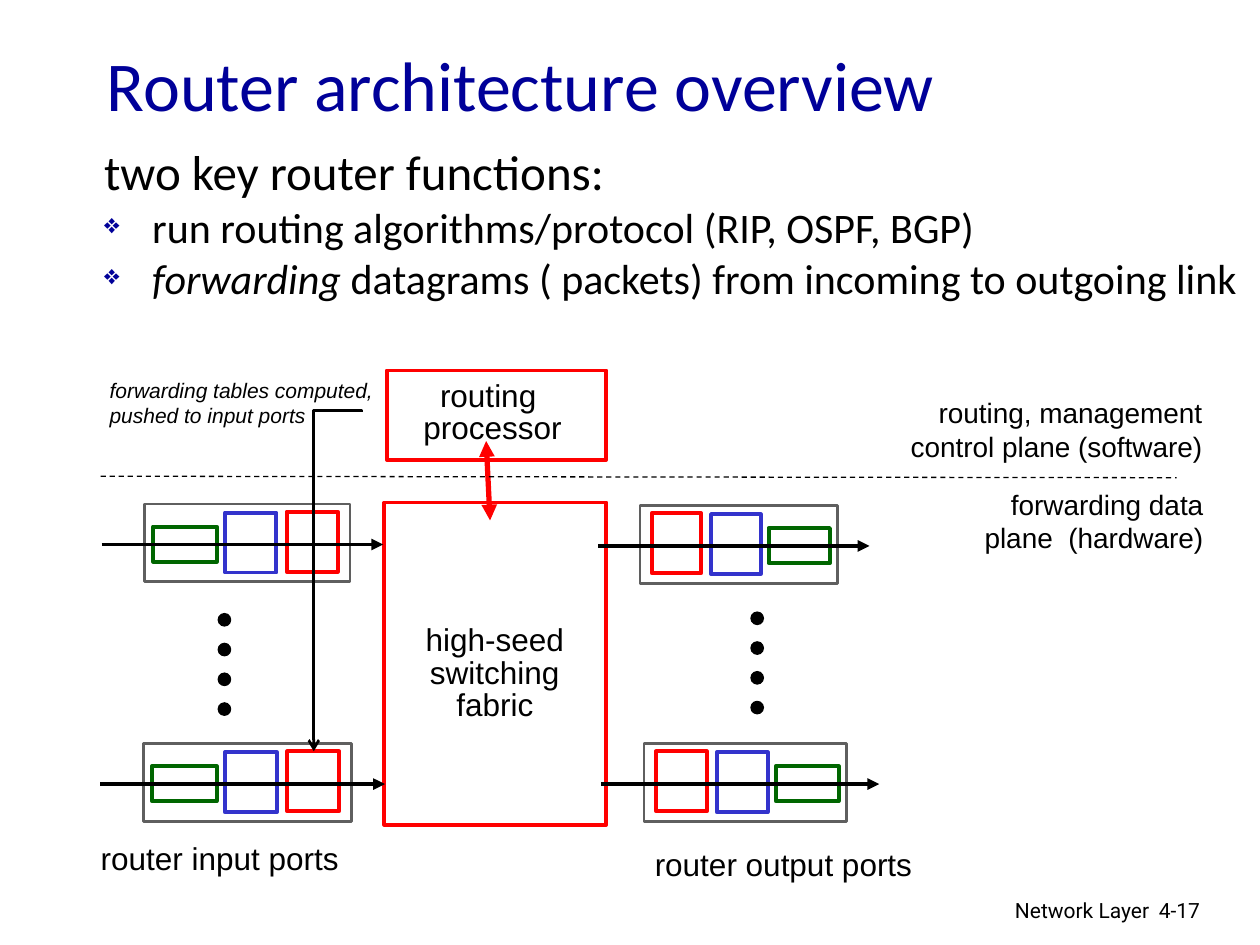
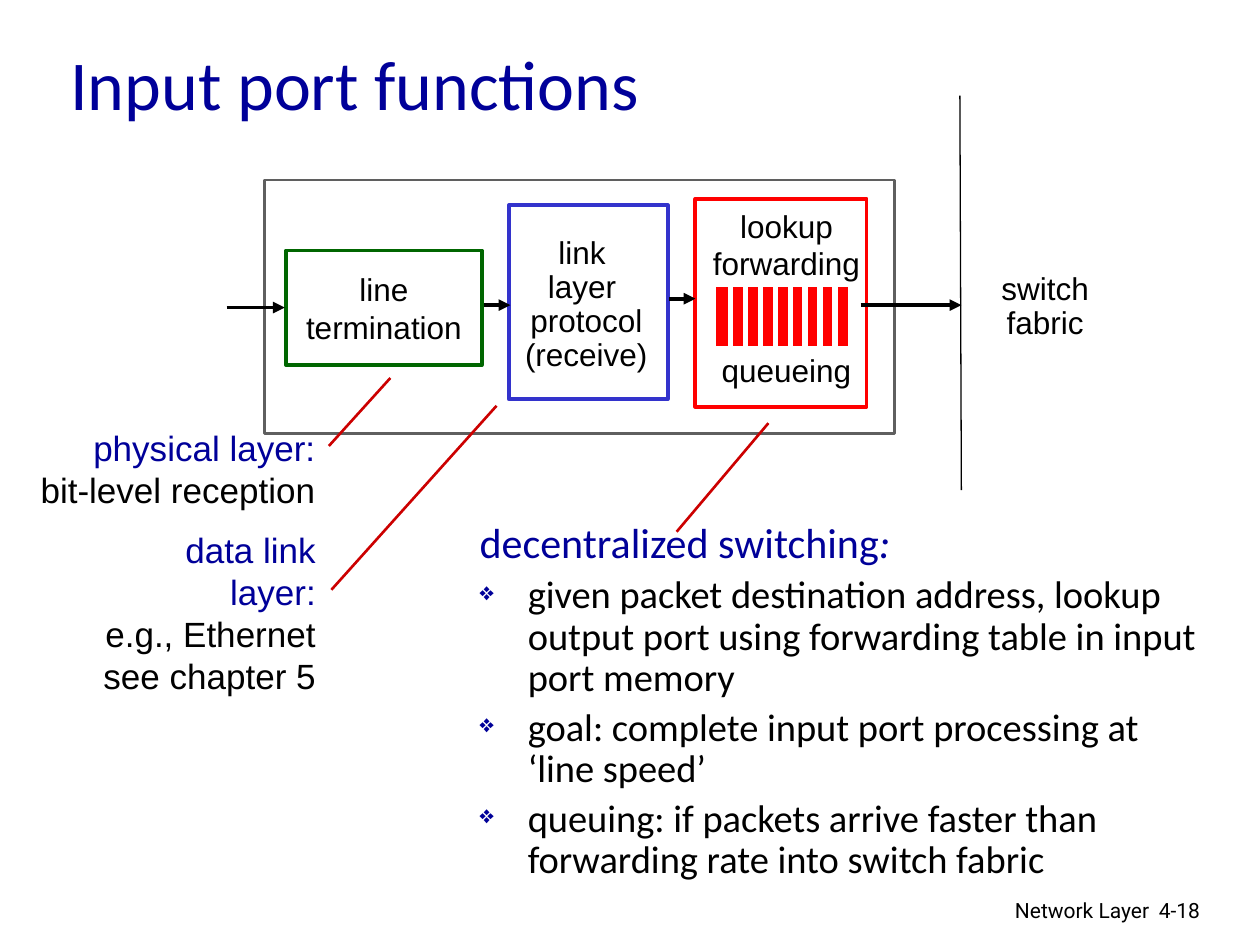
from dataclasses import dataclass

from lxml import etree
from pptx import Presentation
from pptx.dml.color import RGBColor
from pptx.enum.dml import MSO_LINE
from pptx.enum.shapes import MSO_CONNECTOR, MSO_SHAPE
from pptx.enum.text import MSO_ANCHOR, MSO_AUTO_SIZE, PP_ALIGN
from pptx.oxml.ns import qn
from pptx.util import Cm, Pt

LEFT, CENTER, RIGHT = PP_ALIGN.LEFT, PP_ALIGN.CENTER, PP_ALIGN.RIGHT
MIDDLE = MSO_ANCHOR.MIDDLE
RECT, OVAL = MSO_SHAPE.RECTANGLE, MSO_SHAPE.OVAL
STRAIGHT, ELBOW = MSO_CONNECTOR.STRAIGHT, MSO_CONNECTOR.ELBOW
DASH = MSO_LINE.DASH


@dataclass(frozen=True)
class Theme:
    heading_font: str = "Calibri"
    label_font: str = "Arial"
    footer_font: str = "Roboto"
    navy: str = "000099"
    black: str = "000000"
    white: str = "FFFFFF"
    gray: str = "5F5F5F"
    red: str = "FF0000"
    callout: str = "CC0000"
    green: str = "006600"
    blue: str = "3333CC"
    title: int = 40
    lead: int = 28
    body: int = 24
    detail: int = 22
    layer: int = 20
    label: int = 18
    plane: int = 16
    small: int = 12
    hairline: float = 0.75
    thin: float = 1.5
    medium: float = 2.25
    thick: float = 3


THEME = Theme()


@dataclass(frozen=True)
class Box:
    left: float
    top: float
    width: float = 0
    height: float = 0

    def at(self, x, y, width=0, height=0):
        """Box placed by its offset from this one."""
        return Box(self.left + x, self.top + y, width, height)

    def share(self, x, y, width, height):
        """Box given in fractions of this one."""
        return self.at(x * self.width, y * self.height,
                       width * self.width, height * self.height)

    def emu(self):
        return Cm(self.left), Cm(self.top), Cm(self.width), Cm(self.height)


def rgb(color):
    return RGBColor.from_string(color)


def add_bullet(paragraph):
    properties = paragraph._p.get_or_add_pPr()
    color = etree.SubElement(properties, qn("a:buClr"))
    etree.SubElement(color, qn("a:srgbClr"), val=THEME.navy)
    etree.SubElement(properties, qn("a:buSzPct"), val="65000")
    etree.SubElement(properties, qn("a:buChar"), char="❖")


def write(frame, text, font=THEME.label_font, size=THEME.label, color=THEME.black,
          italic=False, align=LEFT, spacing=1.0, before=0, hanging=0, bullet=False):
    """Add one paragraph a line; a list holds (text, italic) runs of one paragraph."""
    lines = text.split("\n") if isinstance(text, str) else [text]
    for line in lines:
        paragraph = frame.add_paragraph() if frame.text else frame.paragraphs[0]
        paragraph.alignment = align
        paragraph.line_spacing = spacing
        paragraph.space_before = Pt(before)
        if hanging:
            properties = paragraph._p.get_or_add_pPr()
            properties.set("marL", str(Cm(hanging)))
            properties.set("indent", str(-Cm(hanging)))
        if bullet:
            add_bullet(paragraph)
        for content, slanted in [(line, italic)] if isinstance(line, str) else line:
            run = paragraph.add_run()
            run.text = content
            run.font.name = font
            run.font.size = Pt(size)
            run.font.italic = slanted
            run.font.color.rgb = rgb(color)


def add_frame(slide, box, wrap=True, fit=False):
    frame = slide.shapes.add_textbox(*box.emu()).text_frame
    frame.word_wrap = wrap
    frame.auto_size = MSO_AUTO_SIZE.SHAPE_TO_FIT_TEXT if fit else MSO_AUTO_SIZE.NONE
    return frame


def add_label(slide, box, text, wrap=False, **text_format):
    frame = add_frame(slide, box, wrap, fit=True)
    write(frame, text, **text_format)
    return frame


def add_block(shapes, box, line=None, width=THEME.medium, fill=THEME.white, kind=RECT):
    block = shapes.add_shape(kind, *box.emu())
    block.shadow.inherit = False
    block.fill.solid()
    block.fill.fore_color.rgb = rgb(fill)
    if line:
        block.line.color.rgb = rgb(line)
        block.line.width = Pt(width)
    else:
        block.line.fill.background()
    return block


def add_block_text(block, text, **text_format):
    frame = block.text_frame
    frame.word_wrap = False
    frame.vertical_anchor = MIDDLE
    write(frame, text, align=CENTER, **text_format)


def add_line(shapes, start, end, color=THEME.black, width=THEME.medium,
             head=None, tail=None, dash=None, kind=STRAIGHT):
    line = shapes.add_connector(kind, Cm(start.left), Cm(start.top),
                                Cm(end.left), Cm(end.top))
    line.line.color.rgb = rgb(color)
    line.line.width = Pt(width)
    if dash:
        line.line.dash_style = dash
    for tag, ending in (("a:headEnd", head), ("a:tailEnd", tail)):
        if ending:
            etree.SubElement(line.line._get_or_add_ln(), qn(tag), type=ending)
    etree.SubElement(line._element.spPr, qn("a:effectLst"))
    return line


def add_base(deck, title, number, title_box):
    slide = deck.slides.add_slide(deck.slide_layouts[6])
    frame = add_frame(slide, title_box)
    frame.vertical_anchor = MIDDLE
    write(frame, title, font=THEME.heading_font, size=THEME.title, color=THEME.navy)
    footer = dict(font=THEME.footer_font, size=THEME.small)
    write(add_frame(slide, Box(15.37, 17.96, 8.05, 0.79)), "Network Layer",
          align=RIGHT, **footer)
    write(add_frame(slide, Box(23.11, 17.96, 1.88, 0.76)), number, **footer)
    return slide


def add_body(slide, box, heading, bullets, heading_size, heading_color, size, spacing):
    frame = add_frame(slide, box)
    shared = dict(font=THEME.heading_font, spacing=spacing, hanging=0.97)
    write(frame, heading, size=heading_size, color=heading_color,
          before=heading_size * 0.2, **shared)
    for bullet in bullets:
        write(frame, bullet, size=size, before=size * 0.2, bullet=True, **shared)


def add_port(slide, box, mirrored=False):
    """Port frame with its three stages and the link that runs through it."""
    shapes = slide.shapes.add_group_shape().shapes
    add_block(shapes, box, THEME.gray, THEME.thin)
    stages = ((THEME.green, 0.04, 0.29, 0.31, 0.45),
              (THEME.blue, 0.39, 0.11, 0.25, 0.77),
              (THEME.red, 0.69, 0.1, 0.25, 0.77))
    for color, x, y, width, height in stages:
        x = 1 - x - width if mirrored else x
        add_block(shapes, box.share(x, y, width, height), color)
    add_line(shapes, box.share(-0.21, 0.52, 0, 0), box.share(1.16, 0.52, 0, 0),
             tail="triangle")


def add_dots(slide, box):
    shapes = slide.shapes.add_group_shape().shapes
    for i in range(4):
        add_block(shapes, box.at(0, 0.6 * i, 0.25, 0.25), THEME.black,
                  THEME.hairline, THEME.black, OVAL)


def add_table_push(slide, box):
    """Elbow arrow turned by 90 degrees: left first, then down."""
    push = add_line(slide.shapes, box, box.at(box.width, box.height),
                    width=THEME.thin, tail="arrow", kind=ELBOW)
    push._element.spPr.xfrm.set("rot", "5400000")
    adjustments = push._element.spPr.find(qn("a:prstGeom")).find(qn("a:avLst"))
    etree.SubElement(adjustments, qn("a:gd"), name="adj1", fmla="val -100")


def add_router(slide, box):
    shapes = slide.shapes
    centered = dict(align=CENTER, spacing=0.85)
    add_block(shapes, box.at(5.75, 2.73, 4.47, 6.5), THEME.red)
    add_label(slide, box.at(6.26, 5.1, 3.43, 2.24), "high-seed \nswitching\nfabric",
              **centered)
    add_block(shapes, box.at(5.8, 0.07, 4.42, 1.8), THEME.red)
    add_label(slide, box.at(6.28, 0.17, 3.3, 1.55), "routing \nprocessor", **centered)
    add_line(shapes, box.at(7.8, 1.49), box.at(7.88, 3.09), THEME.red, THEME.thick,
             head="triangle", tail="triangle")

    add_port(slide, box.at(0.92, 2.76, 4.14, 1.57))
    add_port(slide, box.at(0.9, 7.59, 4.19, 1.57))
    add_dots(slide, box.at(2.4, 4.97))
    add_label(slide, box.at(-0.22, 9.39, 5.31, 1.02), "router input ports")
    add_port(slide, box.at(10.9, 2.79, 3.99, 1.57), mirrored=True)
    add_port(slide, box.at(10.98, 7.59, 4.09, 1.57), mirrored=True)
    add_dots(slide, box.at(13.14, 4.94))
    add_label(slide, box.at(10.95, 9.52, 5.69, 1.02), "router output ports")

    add_line(shapes, box.at(0.03, 2.2), box.at(21.72, 2.23),
             width=THEME.hairline, dash=DASH)
    plane = dict(wrap=True, size=THEME.plane, align=RIGHT)
    add_label(slide, box.at(17.13, 2.3, 5.38, 1.63),
              "forwarding data plane  (hardware)", **plane)
    add_label(slide, box.at(15.68, 0.45, 6.81, 1.63),
              "routing, management\ncontrol plane (software)", **plane)
    add_table_push(slide, box.at(1.38, 3.83, 6.86, 0.97))
    add_label(slide, box.at(-0.04, 0.09, 5.99, 1.27),
              "forwarding tables computed,\npushed to input ports",
              size=THEME.small, italic=True)


def add_queue(slide, box):
    shapes = slide.shapes.add_group_shape().shapes
    add_block(shapes, box, THEME.white, THEME.thick, THEME.red)
    for i in range(8):
        x = 0.35 + 0.3 * i
        add_line(shapes, box.at(x, 0), box.at(x, box.height), THEME.white, THEME.thick)


def add_input_port(slide, box):
    shapes = slide.shapes
    add_block(shapes, box, THEME.gray, THEME.thin)
    termination = add_block(shapes, box.at(0.44, 1.42, 3.94, 2.31), THEME.green)
    add_block_text(termination, "line\ntermination")
    add_block(shapes, box.at(4.93, 0.51, 3.2, 3.91), THEME.blue)
    add_block(shapes, box.at(8.69, 0.38, 3.45, 4.19), THEME.red)
    for start, end, y in ((-0.76, 0.41, 2.57), (4.42, 4.96, 2.52),
                          (8.16, 8.69, 2.39), (12.02, 14.05, 2.52)):
        add_line(shapes, box.at(start, y), box.at(end, y), tail="triangle")
    add_line(shapes, box.at(14.02, -1.7), box.at(14.05, 6.25), width=THEME.hairline)
    for x, y, text in ((5.03, 1.37, "link \nlayer \nprotocol\n(receive)"),
                       (14.28, 1.42, "switch\nfabric")):
        add_block_text(add_block(shapes, box.at(x, y, 2.92, 2.31)), text, spacing=0.9)
    add_label(slide, box.at(8.77, 0.41, 3.51, 1.8), "lookup\nforwarding", align=CENTER)
    add_label(slide, box.at(8.77, 3.33, 3.51, 1.02), "queueing", align=CENTER)
    add_queue(slide, box.at(9.05, 2.11, 2.77, 1.3))


def add_callout(slide, start, end):
    add_line(slide.shapes, start, end, THEME.callout, THEME.thin)


def add_layer_notes(slide, box):
    notes = ((box.at(0, 0, 6.05, 1.96), "physical layer:", "bit-level reception"),
             (box.at(1.01, 2.04, 5.05, 2.79), "data link layer:",
              "e.g., Ethernet\nsee chapter 5"))
    for note_box, layer, detail in notes:
        shared = dict(size=THEME.layer, align=RIGHT)
        frame = add_label(slide, note_box, layer, color=THEME.navy, **shared)
        write(frame, detail, **shared)
    add_callout(slide, box.at(6.07, 0.51), box.at(7.31, -0.86))
    add_callout(slide, box.at(6.12, 3.41), box.at(9.45, -0.3))


def add_switching_notes(slide, box):
    add_body(slide, box, [("decentralized switching", False), (":", True)],
             ["given packet destination address, lookup output port using "
              "forwarding table in input port memory",
              "goal: complete input port processing at ‘line speed’",
              "queuing: if packets arrive faster than forwarding rate into switch fabric"],
             THEME.body, THEME.navy, THEME.detail, 0.9)
    add_callout(slide, box.at(4.22, 0.31), box.at(6.07, -1.88))


def add_architecture_slide(deck):
    slide = add_base(deck, "Router architecture overview", "4-17",
                     Box(1.9, 0.84, 21.59, 1.7))
    add_body(slide, Box(1.85, 2.92, 23.55, 2.54), "two key router functions:",
             ["run routing algorithms/protocol (RIP, OSPF, BGP)",
              [("forwarding ", True),
               ("datagrams ( packets) from incoming to outgoing link", False)]],
             THEME.lead, THEME.black, THEME.body, 0.85)
    add_router(slide, Box(2, 7.4))


def add_input_port_slide(deck):
    slide = add_base(deck, "Input port functions", "4-18", Box(1.17, 0.81, 21.59, 1.7))
    add_input_port(slide, Box(5.33, 3.63, 12.7, 5.11))
    add_layer_notes(slide, Box(0.56, 8.48))
    add_switching_notes(slide, Box(9.42, 10.41, 15.16, 7.42))


def main():
    deck = Presentation()
    deck.slide_width, deck.slide_height = Cm(25.4), Cm(19.05)
    add_architecture_slide(deck)
    add_input_port_slide(deck)
    deck.save("out.pptx")


if __name__ == "__main__":
    main()
